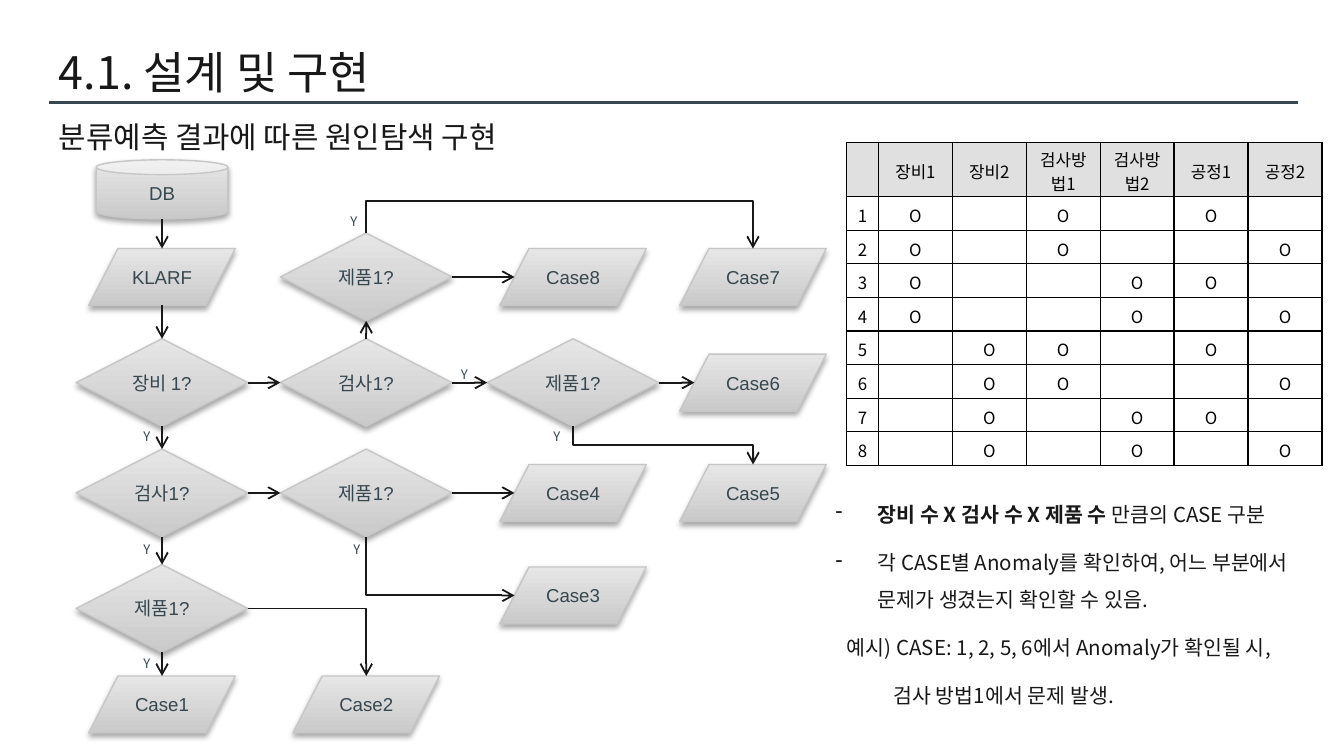
from lxml.etree import SubElement
from pptx import Presentation
from pptx.dml.color import RGBColor
from pptx.enum.shapes import MSO_CONNECTOR, MSO_SHAPE
from pptx.enum.text import MSO_ANCHOR, PP_ALIGN
from pptx.oxml.ns import qn
from pptx.util import Pt

INK = RGBColor(0x18, 0x18, 0x18)
SLATE = RGBColor(0x37, 0x47, 0x4F)
BLACK = RGBColor(0, 0, 0)
HEADER = RGBColor(0xE0, 0xE0, 0xE0)
EDGE = RGBColor(0xC6, 0xC6, 0xC6)
DARK = RGBColor(0xCA, 0xCA, 0xCA)
LIGHT = RGBColor(0xE6, 0xE6, 0xE6)
KOREAN = "Noto Sans CJK KR"

# Content
TITLE = "4.1. 설계 및 구현"
SUBTITLE = "분류예측 결과에 따른 원인탐색 구현"
KINDS = {  # preset, width, height
    "store": (MSO_SHAPE.CAN, 70.5, 31.7),
    "data": (MSO_SHAPE.FLOWCHART_DATA, 78.5, 30.5),
    "test": (MSO_SHAPE.FLOWCHART_DECISION, 92, 47),
}
COLUMNS = (86.8, 196.2, 307, 403.4)  # centre lines
ROWS = {"db": 101.5, "first": 148.4, "equipment": 205, "inspection": 264.1,
        "product": 326, "third": 319, "last": 377.4}
NODES = {  # kind, column, row, label
    "db": ("store", 0, "db", "DB"),
    "klarf": ("data", 0, "first", "KLARF"),
    "equipment": ("test", 0, "equipment", "장비 1?"),
    "inspection no": ("test", 0, "inspection", "검사1?"),
    "product 1": ("test", 0, "product", "제품1?"),
    "inspection yes": ("test", 1, "equipment", "검사1?"),
    "product 6": ("test", 2, "equipment", "제품1?"),
    "product 4": ("test", 1, "inspection", "제품1?"),
    "product 8": ("test", 1, "first", "제품1?"),
    "case 1": ("data", 0, "last", "Case1"),
    "case 2": ("data", 1, "last", "Case2"),
    "case 3": ("data", 2, "third", "Case3"),
    "case 4": ("data", 2, "inspection", "Case4"),
    "case 5": ("data", 3, "inspection", "Case5"),
    "case 6": ("data", 3, "equipment", "Case6"),
    "case 7": ("data", 3, "first", "Case7"),
    "case 8": ("data", 2, "first", "Case8"),
}
TOP, LEFT, BOTTOM, RIGHT = range(4)
STRAIGHT = [
    ("db", BOTTOM, "klarf", TOP),
    ("klarf", BOTTOM, "equipment", TOP),
    ("equipment", BOTTOM, "inspection no", TOP),
    ("inspection no", BOTTOM, "product 1", TOP),
    ("product 1", BOTTOM, "case 1", TOP),
    ("equipment", RIGHT, "inspection yes", LEFT),
    ("inspection no", RIGHT, "product 4", LEFT),
    ("inspection yes", RIGHT, "product 6", LEFT),
    ("inspection yes", TOP, "product 8", BOTTOM),
    ("product 4", RIGHT, "case 4", LEFT),
    ("product 8", RIGHT, "case 8", LEFT),
    ("product 6", RIGHT, "case 6", LEFT),
]
BENT = [  # from, side, to, side, preset, bend position
    ("product 1", RIGHT, "case 2", TOP, "bentConnector2", None),
    ("product 4", BOTTOM, "case 3", LEFT, "bentConnector2", None),
    ("product 6", BOTTOM, "case 5", TOP, "bentConnector3", 50000),
    ("product 8", TOP, "case 7", TOP, "bentConnector3", -210400),
]
YES_MARKS = [(69.8, 226), (69.8, 286.5), (69.8, 347.8), (182.2, 286.5),
             (239.8, 193), (289.4, 226), (180.7, 110.9)]
HEADINGS = ["", "장비1", "장비2", "검사방법1", "검사방법2", "공정1", "공정2"]
MARKED = [(1, 3, 5), (1, 3, 6), (1, 4, 5), (1, 4, 6),
          (2, 3, 5), (2, 3, 6), (2, 4, 5), (2, 4, 6)]
NOTES = [  # left margin, bulleted, (text, bold) spans
    (22.5, True, [("장비 수 X 검사 수 X 제품 수 ", True), ("만큼의 CASE 구분", False)]),
    (22.5, True, [("각 CASE별 Anomaly를 확인하여, 어느 부분에서 문제가 생겼는지 확인할 수 있음.", False)]),
    (6, False, [("예시) CASE: 1, 2, 5, 6에서 Anomaly가 확인될 시,", False)]),
    (31, False, [("검사 방법1에서 문제 발생.", False)]),
]


def add_span(para, text, size, color, name=KOREAN, bold=False):
    span = para.add_run()
    span.text = text
    for key, value in {"size": Pt(size), "name": name, "bold": bold}.items():
        setattr(span.font, key, value)
    span.font.color.rgb = color
    SubElement(span.font._element, qn("a:ea"), typeface=KOREAN)


def add_box(left, top, width, height, inset=7.2, wrap=True):
    box = page.shapes.add_textbox(Pt(left), Pt(top), Pt(width), Pt(height))
    frame = box.text_frame
    frame.word_wrap = wrap
    if inset:
        for side in ("left", "right", "top", "bottom"):
            setattr(frame, "margin_" + side, Pt(inset))
    return frame


def add_node(kind, column, row, label):
    preset, width, height = KINDS[kind]
    shape = page.shapes.add_shape(preset, Pt(COLUMNS[column] - width / 2),
                                  Pt(ROWS[row] - height / 2), Pt(width), Pt(height))
    shape.fill.gradient()
    shape.fill.gradient_angle = 90
    for stop, color in zip(shape.fill.gradient_stops, (DARK, LIGHT)):
        stop.color.rgb = color
    shape.line.color.rgb = EDGE
    shape.line.width = Pt(0.75)
    shape.shadow.inherit = False
    effects = shape._element.spPr.find(qn("a:effectLst"))
    shadow = SubElement(effects, qn("a:outerShdw"), blurRad=str(Pt(3.1)),
                        dist=str(Pt(1.8)), dir="5400000", rotWithShape="0")
    shade = SubElement(shadow, qn("a:srgbClr"), val="000000")
    SubElement(shade, qn("a:alpha"), val="35000")
    shape.text_frame.vertical_anchor = MSO_ANCHOR.MIDDLE
    para = shape.text_frame.paragraphs[0]
    para.alignment = PP_ALIGN.CENTER
    add_span(para, label, 10, SLATE, "Arial")
    return shape


def side_point(name, side):
    kind, column, row, _ = NODES[name]
    _, width, height = KINDS[kind]
    if kind == "data":
        width *= 0.8  # slanted sides meet the middle line further in
    across, down = {TOP: (0, -1), LEFT: (-1, 0), BOTTOM: (0, 1), RIGHT: (1, 0)}[side]
    return COLUMNS[column] + across * width / 2, ROWS[row] + down * height / 2


def add_line(style, start, end, color=INK, width=1, arrow=True):
    line = page.shapes.add_connector(style, *(Pt(value) for value in (*start, *end)))
    line.line.color.rgb = color
    line.line.width = Pt(width)
    if arrow:
        SubElement(line.line._get_or_add_ln(), qn("a:tailEnd"), type="arrow")
    SubElement(line._element.spPr, qn("a:effectLst"))
    return line


deck = Presentation()
deck.slide_width, deck.slide_height = Pt(720), Pt(405)
page = deck.slides.add_slide(deck.slide_layouts[6])

# Title, rule and subtitle
add_line(MSO_CONNECTOR.STRAIGHT, (26, 54.8), (695.5, 54.8), SLATE, 1.5, arrow=False)
title = add_box(24.5, 15.8, 671, 45.4)
title.vertical_anchor = MSO_ANCHOR.MIDDLE
add_span(title.paragraphs[0], TITLE, 24, INK)
add_span(add_box(24.5, 56.2, 424.8, 29.5).paragraphs[0], SUBTITLE, 16, INK)

# Flowchart
nodes = {name: add_node(*node) for name, node in NODES.items()}
for source, out_side, target, in_side in STRAIGHT:
    line = add_line(MSO_CONNECTOR.STRAIGHT, side_point(source, out_side),
                    side_point(target, in_side))
    if NODES[source][0] == "test":
        line.begin_connect(nodes[source], out_side)
    if NODES[target][0] == "test":
        line.end_connect(nodes[target], in_side)
for source, out_side, target, in_side, preset, bend in BENT:
    (x1, y1), (x2, y2) = start, end = side_point(source, out_side), side_point(target, in_side)
    line = add_line(MSO_CONNECTOR.ELBOW, start, end)
    geometry = line._element.spPr.find(qn("a:prstGeom"))
    geometry.set("prst", preset)
    if bend is not None:
        guides = geometry.find(qn("a:avLst"))
        SubElement(guides, qn("a:gd"), name="adj1", fmla=f"val {bend}")
    if out_side != RIGHT:  # leaves vertically: turn the frame a quarter
        run, drop = x2 - x1, y2 - y1
        line.left, line.top = Pt((x1 + x2 - drop) / 2), Pt((y1 + y2 - run) / 2)
        line.width, line.height = Pt(drop), Pt(run)
        frame = line._element.spPr.find(qn("a:xfrm"))
        frame.set("rot", "16200000")
        frame.set("flipH", "1")
for left, top in YES_MARKS:
    add_span(add_box(left, top, 20, 15.8, None, False).paragraphs[0], "Y", 7, SLATE)

# Notes
notes = add_box(440.6, 254.9, 285, 128.2)
for index, (margin, bulleted, spans) in enumerate(NOTES):
    para = notes.paragraphs[0] if index == 0 else notes.add_paragraph()
    para.line_spacing, para.space_after = 1.5, Pt(6)
    layout = para._p.get_or_add_pPr()
    layout.set("marL", str(Pt(margin)))
    layout.set("indent", str(Pt(-margin if bulleted else 0)))
    if bulleted:
        SubElement(layout, qn("a:buChar"), char="-")
    for text, bold in spans:
        add_span(para, text, 11, INK, bold=bold)

# Case table
body = [[str(number)] + ["O" if column in marks else "" for column in range(1, 7)]
        for number, marks in enumerate(MARKED, 1)]
table = page.shapes.add_table(9, 7, Pt(453.6), Pt(76.3), Pt(254.4), Pt(173)).table
table.first_row = table.horz_banding = False
for index, column in enumerate(table.columns):
    column.width = Pt(39.6 if index else 17)
for index, row in enumerate(table.rows):
    row.height = Pt(18 if index else 29)
for row, texts in enumerate([HEADINGS] + body):
    for column, text in enumerate(texts):
        cell = table.cell(row, column)
        side = 7.2 if column else 2
        for key, value in {"left": side, "right": side, "top": 2, "bottom": 0}.items():
            setattr(cell, "margin_" + key, Pt(value))
        cell.vertical_anchor = MSO_ANCHOR.MIDDLE
        properties = cell._tc.get_or_add_tcPr()
        for edge in ("lnL", "lnR", "lnT", "lnB"):
            border = SubElement(properties, qn("a:" + edge), w=str(Pt(0.75)))
            paint = SubElement(border, qn("a:solidFill"))
            SubElement(paint, qn("a:srgbClr"), val=str(BLACK))
        if row == 0:
            cell.fill.solid()
            cell.fill.fore_color.rgb = HEADER
        else:
            cell.fill.background()
        para = cell.text_frame.paragraphs[0]
        para.alignment = PP_ALIGN.CENTER
        if text:
            add_span(para, text, 9, BLACK)
        else:
            SubElement(para._p, qn("a:endParaRPr"), sz="900")

deck.save("out.pptx")
